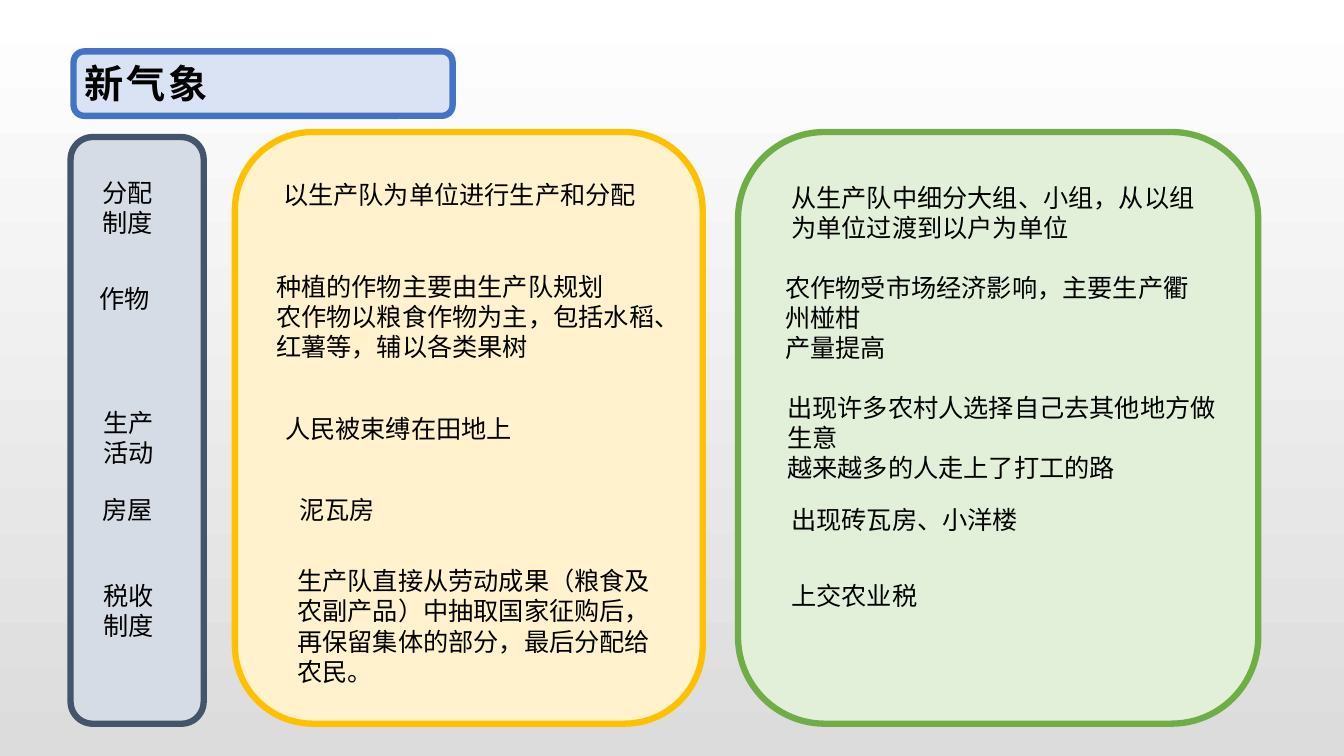
"""Build the slide comparing village life before and after the reform."""
import dataclasses

import pptx
import pptx.dml.color
import pptx.enum.shapes
import pptx.enum.text
import pptx.util

EMU_PER_PX = 9144


@dataclasses.dataclass(frozen=True)
class Theme:
    """Colours and type sizes of the slide."""
    font: str = "Arial"
    text: str = "000000"
    title_size: int = 28
    body_size: int = 18
    border: float = 4.5
    background: tuple = ("FFFFFF", "DCDCDC")
    blue: tuple = ("DAE3F3", "4472C4")
    yellow: tuple = ("FFF2CC", "FFC000")
    green: tuple = ("E2F0D9", "70AD47")
    slate: tuple = ("D6DCE5", "44546A")


THEME = Theme()

TITLE = "新气象"
TITLE_BADGE = (73, 51, 376, 64)

PANELS = [
    ((233, 131, 464, 587), THEME.yellow),
    ((732, 131, 516, 587), THEME.green),
    ((70, 136, 132, 582), THEME.slate),
]

TOPICS = [
    ((92, 171, 92, 71), ["分配制度"]),
    ((89, 276, 89, 40), ["作物"]),
    ((93, 399, 92, 71), ["生产活动"]),
    ((92, 485, 78, 40), ["房屋"]),
    ((93, 571, 86, 71), ["税收制度"]),
]

BEFORE = [
    ((271, 173, 384, 40), ["以生产队为单位进行生产和分配"]),
    ((264, 264, 398, 101), ["种植的作物主要由生产队规划",
                            "农作物以粮食作物为主，包括水稻、红薯等，辅以各类果树"]),
    ((273, 405, 383, 40), ["人民被束缚在田地上"]),
    ((287, 485, 270, 40), ["泥瓦房"]),
    ((285, 556, 370, 131), ["生产队直接从劳动成果（粮食及农副产品）中抽取国家征购后，"
                            "再保留集体的部分，最后分配给农民。"]),
]

AFTER = [
    ((775, 176, 437, 71), ["从生产队中细分大组、小组，从以组为单位过渡到以户为单位"]),
    ((769, 265, 440, 101), ["农作物受市场经济影响，主要生产衢州椪柑", "产量提高"]),
    ((771, 384, 445, 101), ["出现许多农村人选择自己去其他地方做生意",
                            "越来越多的人走上了打工的路"]),
    ((775, 495, 358, 40), ["出现砖瓦房、小洋楼"]),
    ((775, 571, 291, 40), ["上交农业税"]),
]


def px(n):
    """Turn px into EMU."""
    return pptx.util.Emu(n * EMU_PER_PX)


def rgb(value):
    """Turn a hex string into a colour."""
    return pptx.dml.color.RGBColor.from_string(value)


def set_all(obj, values):
    """Set each attribute in a dict of format values."""
    for name, value in values.items():
        setattr(obj, name, value)


def format_font(font, size, bold=False):
    """Apply the theme font."""
    set_all(font, {"name": THEME.font, "size": pptx.util.Pt(size), "bold": bold})
    font.color.rgb = rgb(THEME.text)


def paint_background(s):
    """Fill the slide with a vertical gradient."""
    fill = s.background.fill
    fill.gradient()
    fill.gradient_angle = 270
    for stop, colour in zip(fill.gradient_stops, THEME.background):
        stop.color.rgb = rgb(colour)


def add_panel(s, box, colours):
    """Add a rounded panel with a thick border."""
    sp = s.shapes.add_shape(
        pptx.enum.shapes.MSO_SHAPE.ROUNDED_RECTANGLE, *map(px, box))
    fill, line = colours
    sp.shadow.inherit = False
    sp.fill.solid()
    sp.fill.fore_color.rgb = rgb(fill)
    sp.line.color.rgb = rgb(line)
    sp.line.width = pptx.util.Pt(THEME.border)
    return sp


def add_title(s):
    """Place the title on its badge."""
    badge = add_panel(s, TITLE_BADGE, THEME.blue)
    title = s.shapes.title
    badge.element.addnext(title.element)
    set_all(title, {"left": px(73), "top": px(47),
                    "width": px(1187), "height": px(71)})
    tf = title.text_frame
    set_all(tf, {
        "margin_left": px(11), "margin_top": px(4),
        "margin_right": px(8), "margin_bottom": px(4),
        "vertical_anchor": pptx.enum.text.MSO_ANCHOR.MIDDLE,
        "auto_size": pptx.enum.text.MSO_AUTO_SIZE.NONE,
    })
    p = tf.paragraphs[0]
    p.alignment = pptx.enum.text.PP_ALIGN.LEFT
    r = p.add_run()
    r.text = TITLE
    format_font(r.font, THEME.title_size, bold=True)
    r._r.get_or_add_rPr().set("spc", "200")


def add_text(s, box, lines):
    """Add a wrapping text box with one paragraph per line."""
    tf = s.shapes.add_textbox(*map(px, box)).text_frame
    set_all(tf, {"word_wrap": True,
                 "auto_size": pptx.enum.text.MSO_AUTO_SIZE.SHAPE_TO_FIT_TEXT})
    tf.text = "\n".join(lines)
    for p in tf.paragraphs:
        format_font(p.runs[0].font, THEME.body_size)


def main():
    """Build and save the slide."""
    prs = pptx.Presentation()
    set_all(prs, {"slide_width": px(1333), "slide_height": px(750)})
    s = prs.slides.add_slide(prs.slide_layouts.get_by_name("Title Only"))
    paint_background(s)
    add_title(s)
    for box, colours in PANELS:
        add_panel(s, box, colours)
    for box, lines in TOPICS + BEFORE + AFTER:
        add_text(s, box, lines)
    prs.save("out.pptx")


if __name__ == "__main__":
    main()
